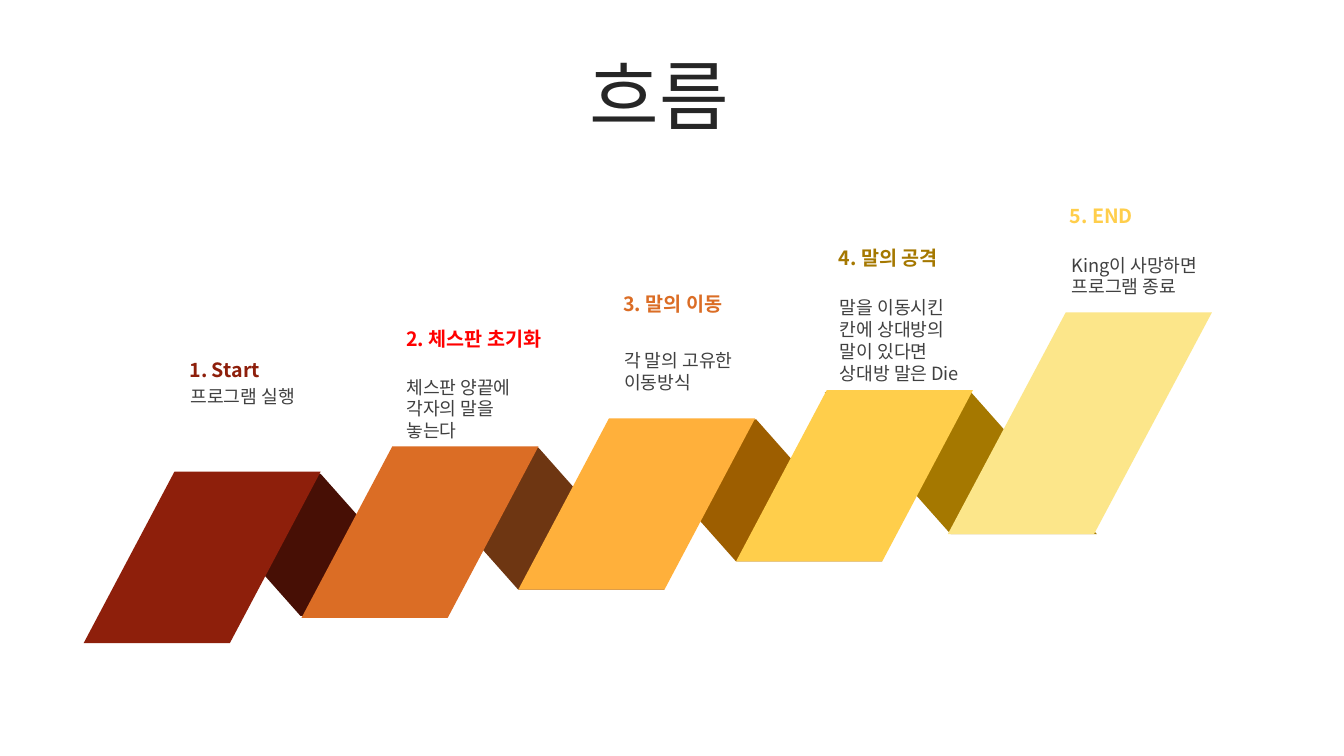
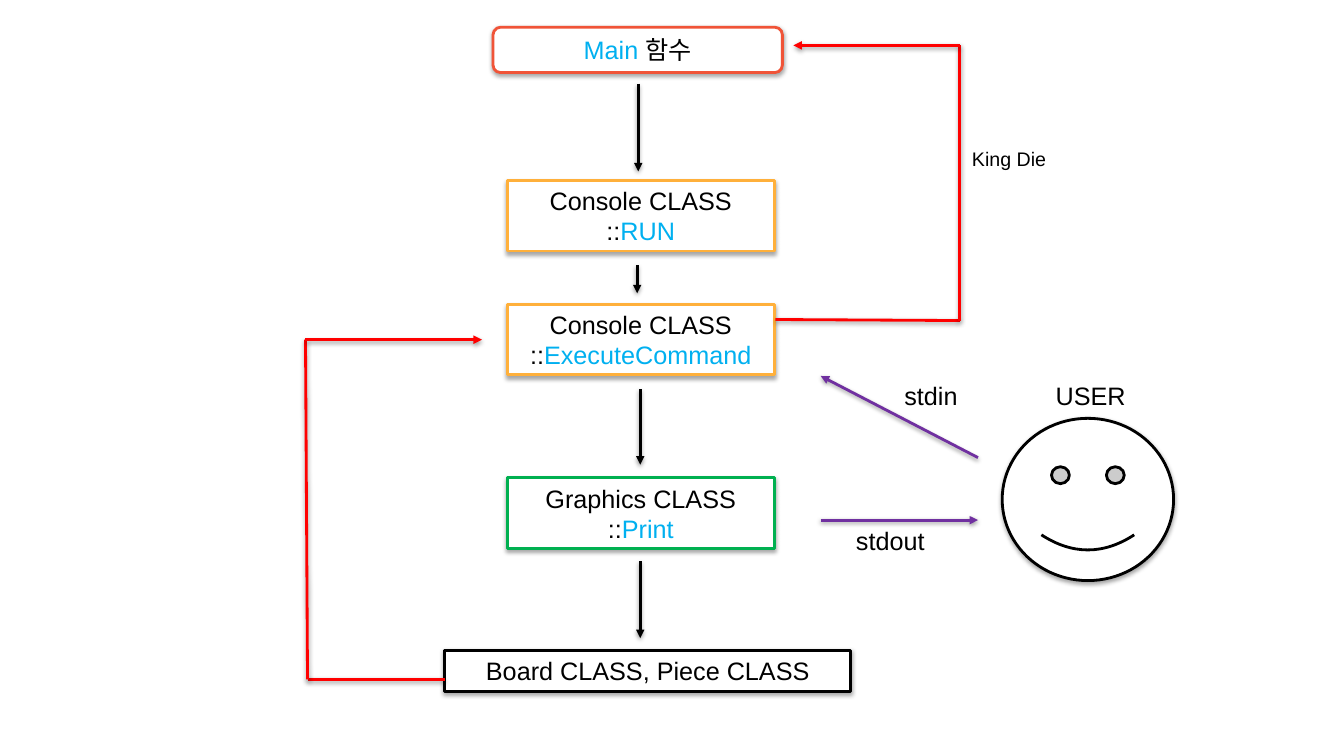
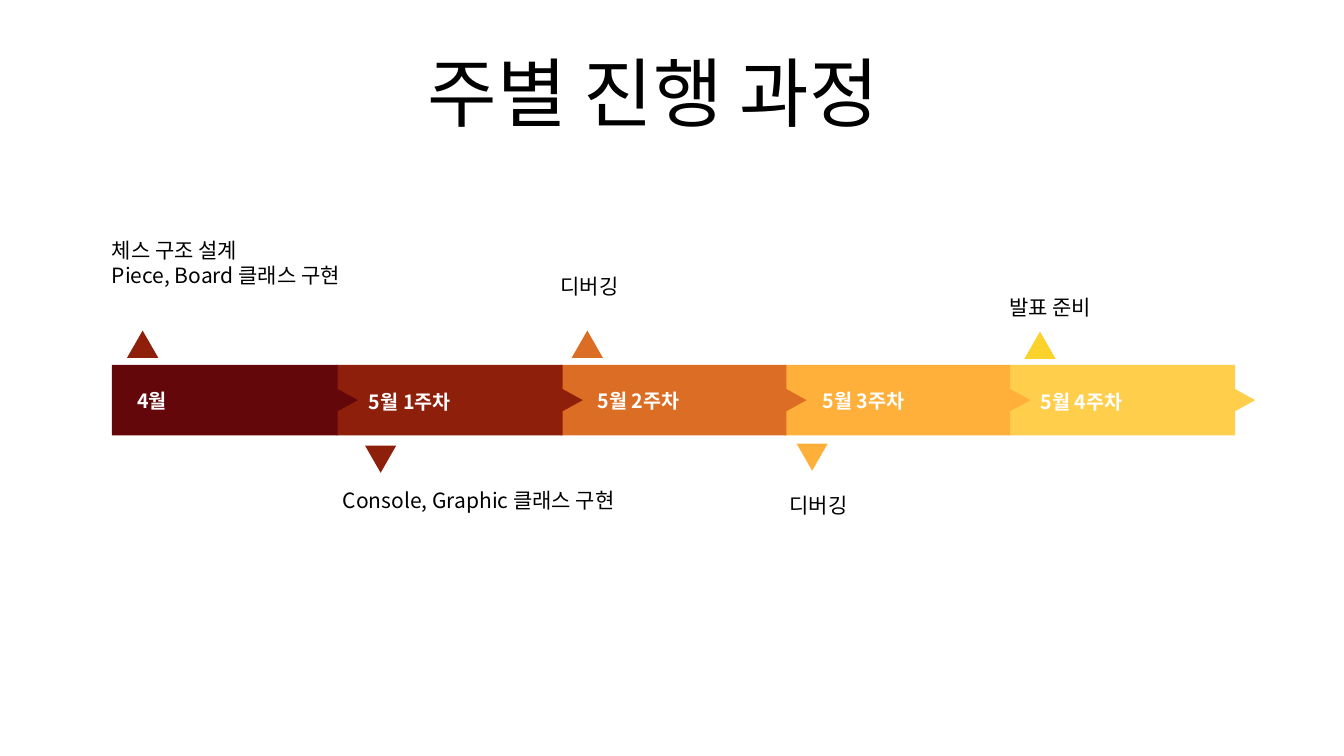
"""Build three slides on a chess program: its flow, its call structure and its schedule."""
from itertools import pairwise

from lxml import etree
from pptx import Presentation
from pptx import util as u
from pptx.dml.color import RGBColor
from pptx.enum import shapes, text
from pptx.oxml.ns import qn

PX = 9144
KOREAN, LATIN = "Noto Sans CJK KR", "Arial"
COLORS = {
    "white": "FFFFFF", "black": "000000", "ink": "262626", "grey": "404040",
    "wine": "63070A", "brick": "8E1F0B", "rust": "DB6D25", "amber": "FFB03B",
    "gold": "FFCE4B", "lemon": "FAD22B", "cream": "FCE68A",
    "dark brick": "470F05", "dark rust": "6E3612", "dark amber": "9D5E00",
    "dark gold": "A57800", "red": "FF0000", "coral": "F05438",
    "green": "00B050", "sky": "00B0F0", "purple": "7030A0",
}

FOLDS = [(173, 470, "dark brick"), (605, 416, "dark amber"),
         (818, 389, "dark gold"), (389, 444, "dark rust")]
PANELS = [(83, 638, 170, "brick"), (730, 557, 170, "gold"), (514, 585, 170, "amber"),
          (299, 613, 170, "rust"), (940, 530, 220, "cream")]
STEPS = [
    ("1. Start", "brick", (183, 350), ["프로그램 실행"], (184, 377)),
    ("2. 체스판 초기화", "red", (398, 319), ["체스판 양끝에", "각자의 말을 놓는다"], (398, 368)),
    ("3. 말의 이동", "rust", (613, 285), ["각 말의 고유한", "이동방식"], (614, 342)),
    ("4. 말의 공격", "dark gold", (827, 239),
     ["말을 이동시킨 칸에 상대방의 말이 있다면 상대방 말은 Die"], (828, 289)),
    ("5. END", "gold", (1056, 197), ["King이 사망하면", "프로그램 종료"], (1058, 247)),
]

MAIN = [[("Main", "sky"), (" 함수", "black")]]
CLASS_BOXES = [("Console CLASS", "RUN", 179, "amber"),
               ("Console CLASS", "ExecuteCommand", 302, "amber"),
               ("Graphics CLASS", "Print", 474, "green")]
ROUTES = [
    ("black", [(633, 83), (633, 170)]),
    ("black", [(632, 263), (632, 291)]),
    ("black", [(635, 386), (635, 461)]),
    ("black", [(635, 557), (635, 633)]),
    ("purple", [(970, 454), (814, 373)]),
    ("purple", [(814, 516), (970, 516)]),
    ("red", [(441, 674), (305, 674), (303, 337), (478, 337)]),
    ("red", [(769, 317), (952, 318), (952, 45), (787, 45)]),
]
FLOW_LABELS = [("stdin", 892, 372, 18), ("stdout", 844, 516, 18),
               ("USER", 1042, 372, 18), ("King Die", 959, 141, 14)]

WEEKS = [("4월", "wine", 131, 381), ("5월 1주차", "brick", 361, 382),
         ("5월 2주차", "rust", 588, 381), ("5월 3주차", "amber", 811, 381),
         ("5월 4주차", "gold", 1027, 382)]
MARKERS = [(126, 328, "brick", 0), (362, 442, "brick", 180), (567, 328, "rust", 0),
           (790, 440, "amber", 180), (1016, 329, "lemon", 0)]
TASKS = [(["체스 구조 설계", "Piece, Board 클래스 구현"], 106, 231),
         (["Console, Graphic 클래스 구현"], 335, 479), (["디버깅"], 551, 266),
         (["디버깅"], 778, 484), (["발표 준비"], 996, 287)]


def rgb(name):
    return RGBColor.from_string(COLORS[name])


def px(*lengths):
    return [u.Emu(round(length * PX)) for length in lengths]


def write(shape, lines, size=18, font=KOREAN, color="black", bold=False,
          align=text.PP_ALIGN.LEFT, anchor=text.MSO_ANCHOR.TOP):
    """Fill a shape with lines; a line is a string or a list of (text, color) spans."""
    frame = shape.text_frame
    frame.word_wrap = True
    frame.auto_size = text.MSO_AUTO_SIZE.NONE
    frame.vertical_anchor = anchor
    frame.margin_left = frame.margin_right = frame.margin_top = frame.margin_bottom = px(5)[0]
    for index, line in enumerate(lines):
        para = frame.add_paragraph() if index else frame.paragraphs[0]
        para.alignment = align
        for words, tint in [(line, color)] if isinstance(line, str) else line:
            span = para.add_run()
            span.text = words
            span.font.size, span.font.bold, span.font.name = u.Pt(size), bold, font
            span.font.color.rgb = rgb(tint)
            east = etree.SubElement(span.font._element, qn("a:ea"))
            east.set("typeface", KOREAN)


def add_label(page, lines, x, y, w, h, **style):
    write(page.shapes.add_textbox(*px(x, y, w, h)), lines, **style)


def add_title(page, words, x, y, h, color):
    title = page.shapes.title
    title.left, title.top, title.width, title.height = px(x, y, 1256, h)
    write(title, [words], size=54, color=color,
          align=text.PP_ALIGN.CENTER, anchor=text.MSO_ANCHOR.MIDDLE)
    para = title.text_frame.paragraphs[0]
    para.line_spacing, para.space_before = 0.9, u.Pt(10)


def paint(shape, color):
    shape.fill.solid()
    shape.fill.fore_color.rgb = rgb(color)
    shape.line.fill.background()
    shape.shadow.inherit = False


def add_polygon(page, points, color):
    builder = page.shapes.build_freeform(*points[0], scale=PX)
    builder.add_line_segments(points[1:], close=True)
    paint(builder.convert_to_shape(), color)


def add_outlined(page, kind, x, y, w, h, color, lines=()):
    """Add a white shape with a colored line that keeps the soft theme shadow."""
    shape = page.shapes.add_shape(kind, *px(x, y, w, h))
    shape.fill.solid()
    shape.fill.fore_color.rgb = rgb("white")
    shape.line.color.rgb, shape.line.width = rgb(color), u.Pt(2)
    write(shape, lines, font=LATIN, align=text.PP_ALIGN.CENTER,
          anchor=text.MSO_ANCHOR.MIDDLE)


def add_route(page, color, points):
    """Join points with straight lines and put an arrowhead on the last one."""
    for start, end in pairwise(points):
        link = page.shapes.add_connector(shapes.MSO_CONNECTOR.STRAIGHT, *px(*start, *end))
        link.line.color.rgb, link.line.width = rgb(color), u.Pt(2)
    head = etree.SubElement(link.line._get_or_add_ln(), qn("a:tailEnd"))
    head.set("type", "triangle")


def build_flow(page):
    add_title(page, "흐름", 26, 49, 100, "ink")
    for x, y, color in FOLDS:
        add_polygon(page, [(x, y), (x + 145, y), (x + 270, y + 141), (x + 125, y + 141)], color)
    for x, y, rise, color in PANELS:
        lean = rise * 0.53
        add_polygon(page, [(x, y), (x + lean, y - rise), (x + lean + 145, y - rise),
                           (x + 145, y)], color)
    for heading, color, heading_at, body, body_at in STEPS:
        add_label(page, body, *body_at, 142, 100, size=13, color="grey")
        add_label(page, [heading], *heading_at, 165, 35, size=14, color=color, bold=True)


def build_structure(page):
    kinds = shapes.MSO_SHAPE
    add_outlined(page, kinds.ROUNDED_RECTANGLE, 489, 27, 287, 45, "coral", MAIN)
    for owner, method, y, color in CLASS_BOXES:
        lines = [owner, [("::", "black"), (method, "sky")]]
        add_outlined(page, kinds.RECTANGLE, 503, y, 265, 70, color, lines)
    add_outlined(page, kinds.RECTANGLE, 441, 645, 403, 41, "black", ["Board CLASS, Piece CLASS"])
    add_outlined(page, kinds.SMILEY_FACE, 994, 415, 170, 161, "black")
    for color, points in ROUTES:
        add_route(page, color, points)
    for words, x, y, size in FLOW_LABELS:
        add_label(page, [words], x, y, 130, 38, size=size, font=LATIN)


def build_schedule(page):
    add_title(page, "주별 진행 과정", 20, 44, 105, "black")
    top, bottom, middle = 362, 432, 397
    for index, (week, color, x, y) in reversed(list(enumerate(WEEKS))):
        left = 111 + index * 222.5
        right = left + 224
        add_polygon(page, [(left, top), (right, top), (right, middle - 11), (right + 20, middle),
                           (right, middle + 11), (right, bottom), (left, bottom)], color)
        add_label(page, [week], x, y, 170, 35, size=14, color="white", bold=True)
    for x, y, color, turn in MARKERS:
        marker = page.shapes.add_shape(shapes.MSO_SHAPE.ISOSCELES_TRIANGLE, *px(x, y, 31, 27))
        marker.rotation = turn
        paint(marker, color)
    for lines, x, y in TASKS:
        add_label(page, lines, x, y, 332, 9 + 27 * len(lines), size=15)


def main():
    deck = Presentation()
    deck.slide_width, deck.slide_height = px(1333, 750)
    title_only, blank = deck.slide_layouts[5], deck.slide_layouts[6]
    for build, layout in [(build_flow, title_only), (build_structure, blank),
                          (build_schedule, title_only)]:
        build(deck.slides.add_slide(layout))
    deck.save("out.pptx")


if __name__ == "__main__":
    main()
